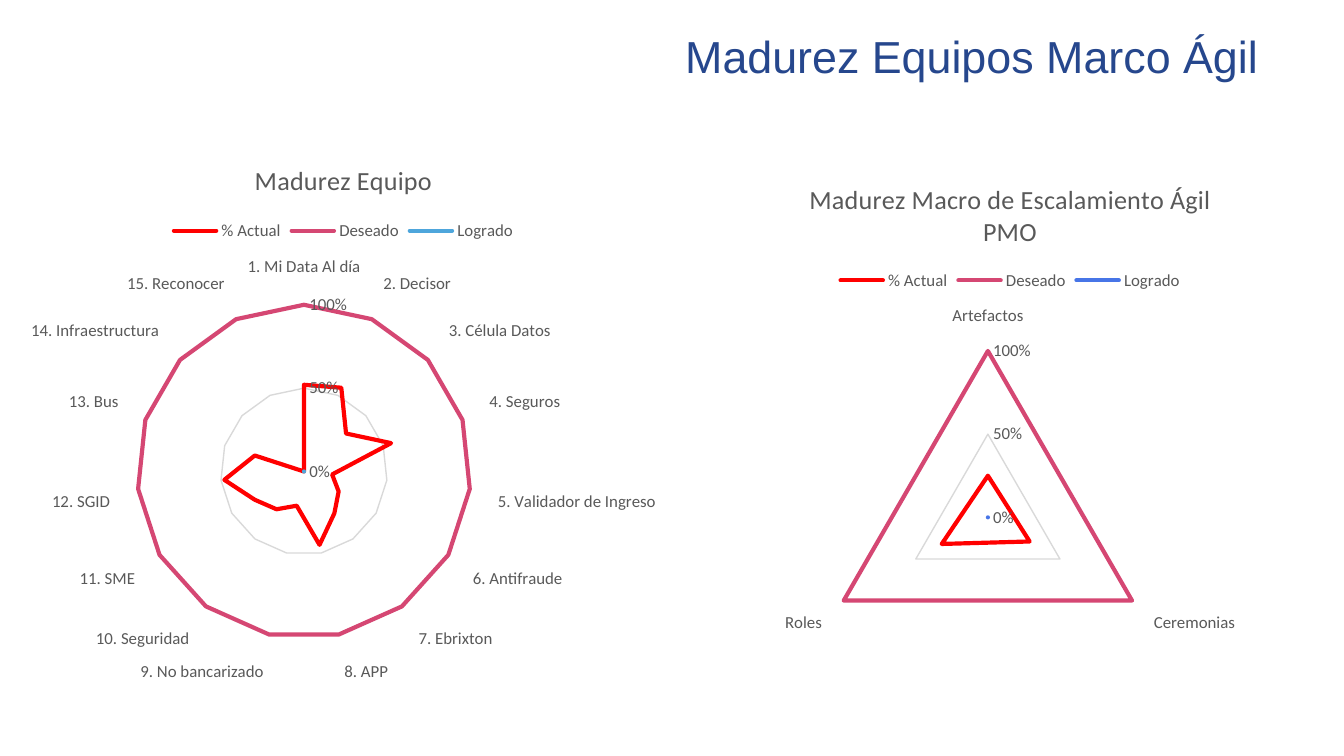
from pptx import Presentation
from pptx.chart.data import CategoryChartData
from pptx.dml.color import RGBColor
from pptx.enum.chart import XL_CHART_TYPE, XL_LEGEND_POSITION, XL_TICK_MARK
from pptx.util import Cm, Pt

COLORS = {
    "title": "26478D",
    "text": "595959",
    "grid": "D9D9D9",
    "actual": "FF0000",
    "desired": "D54773",
    "team_achieved": "4EA6DC",
    "scaling_achieved": "4775E7",
}

TEAM_SCORES = {
    "1. Mi Data Al día": 0.52,
    "2. Decisor": 0.55,
    "3. Célula Datos": 0.34,
    "4. Seguros": 0.55,
    "5. Validador de Ingreso": 0.17,
    "6. Antifraude": 0.24,
    "7. Ebrixton": 0.31,
    "8. APP": 0.45,
    "9. No bancarizado": 0.21,
    "10. Seguridad": 0.28,
    "11. SME": 0.34,
    "12. SGID": 0.48,
    "13. Bus": 0.31,
    "14. Infraestructura": 0,
    "15. Reconocer": 0,
}
SCALING_SCORES = {"Artefactos": 0.25, "Ceremonias": 0.29, "Roles": 0.32}


def color(name):
    """Return the named palette colour."""
    return RGBColor.from_string(COLORS[name])


def style_font(font, size, color_name, typeface="Calibri"):
    """Apply size, colour and typeface to a font."""
    font.size = Pt(size)
    font.name = typeface
    font.bold = False
    font.color.rgb = color(color_name)


def add_title(slide, box, text):
    """Place the slide title in the given box."""
    text_frame = slide.shapes.add_textbox(*box).text_frame
    text_frame.word_wrap = True
    text_frame.text = text
    paragraph = text_frame.paragraphs[0]
    paragraph.line_spacing = 0.9
    style_font(paragraph.runs[0].font, 24, "title", "Arial")


def style_axes(chart):
    """Format the radar's labels, rings and percentage scale."""
    for axis in (chart.category_axis, chart.value_axis):
        axis.major_tick_mark = XL_TICK_MARK.NONE
        axis.minor_tick_mark = XL_TICK_MARK.NONE
        style_font(axis.tick_labels.font, 9, "text")
    category_line = chart.category_axis.format.line
    category_line.color.rgb = color("grid")
    category_line.width = Pt(0.75)
    chart.category_axis.has_major_gridlines = False

    value_axis = chart.value_axis
    value_axis.minimum_scale = 0
    value_axis.maximum_scale = 1
    value_axis.major_unit = 0.5
    value_axis.tick_labels.number_format = "0%"
    value_axis.tick_labels.number_format_is_linked = False
    value_axis.format.line.fill.background()
    grid_line = value_axis.major_gridlines.format.line
    grid_line.color.rgb = color("grid")
    grid_line.width = Pt(0.75)


def add_radar(slide, box, title_lines, scores, achieved_color):
    """Place a maturity radar with title and legend in the given box."""
    chart_data = CategoryChartData(number_format="0%")
    chart_data.categories = list(scores)
    chart_data.add_series("% Actual", list(scores.values()))
    chart_data.add_series("Deseado", [1] * len(scores))
    chart_data.add_series("Logrado", [0] * len(scores))
    chart = slide.shapes.add_chart(XL_CHART_TYPE.RADAR, *box, chart_data).chart
    chart.font.size = Pt(10)
    chart.font.name = "Calibri"

    chart.has_title = True
    text_frame = chart.chart_title.text_frame
    text_frame.text = "\n".join(title_lines)
    for paragraph in text_frame.paragraphs:
        style_font(paragraph.runs[0].font, 14, "text")
    chart.chart_title.include_in_layout = False

    chart.has_legend = True
    chart.legend.position = XL_LEGEND_POSITION.TOP
    chart.legend.include_in_layout = False
    style_font(chart.legend.font, 9, "text")

    style_axes(chart)
    series_colors = ("actual", "desired", achieved_color)
    for series, color_name in zip(chart.plots[0].series, series_colors):
        line = series.format.line
        line.color.rgb = color(color_name)
        line.width = Pt(2.25)
        series._element.xpath("c:spPr/a:ln")[0].set("cap", "rnd")


def main():
    """Build and save the team maturity slide."""
    presentation = Presentation()
    presentation.slide_width = Cm(25.4)
    presentation.slide_height = Cm(14.29)
    slide = presentation.slides.add_slide(presentation.slide_layouts[6])

    title_box = (Cm(12.7), Cm(0.53), Cm(21.9), Cm(2.77))
    team_box = (Cm(0), Cm(2.64), Cm(12.98), Cm(10.46))
    scaling_box = (Cm(12.22), Cm(3.02), Cm(13.74), Cm(10.11))

    add_title(slide, title_box, "Madurez Equipos Marco Ágil")
    add_radar(slide, team_box, ["Madurez Equipo"], TEAM_SCORES, "team_achieved")
    add_radar(
        slide,
        scaling_box,
        ["Madurez Macro de Escalamiento Ágil", "PMO"],
        SCALING_SCORES,
        "scaling_achieved",
    )
    presentation.save("out.pptx")


if __name__ == "__main__":
    main()
